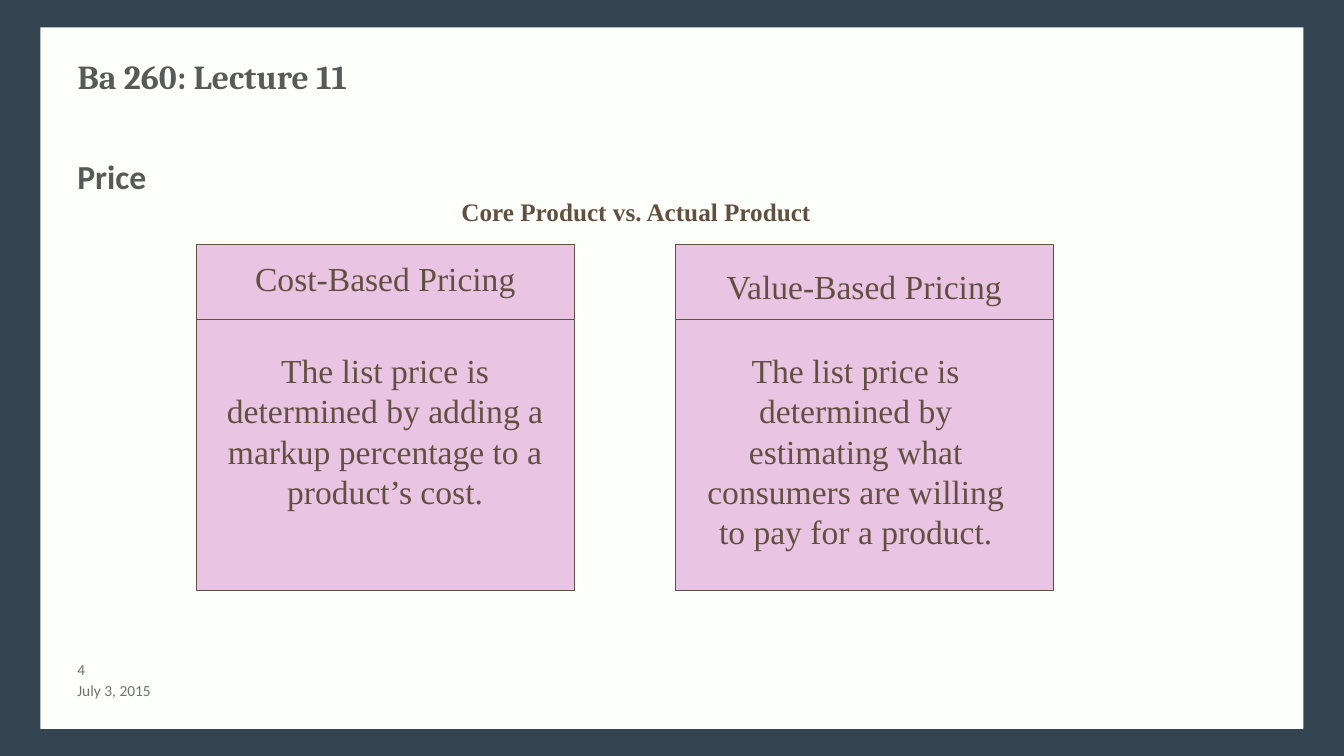
from lxml.etree import SubElement
from pptx import Presentation
from pptx.dml.color import RGBColor
from pptx.enum.shapes import MSO_CONNECTOR, MSO_SHAPE
from pptx.enum.text import MSO_ANCHOR, PP_ALIGN
from pptx.oxml.ns import qn
from pptx.util import Cm, Pt

COLORS = {"frame": "344350", "paper": "FDFFFB", "heading": "595959",
          "footer": "717171", "brown": "615042", "pink": "EAC5E3"}
SERIF = "Times New Roman"
CARD_TOP, CARD_WIDTH, CARD_HEIGHT, HEADER_HEIGHT = 6.15, 9.53, 8.74, 1.9


def rgb(name):
    """Return the named colour."""
    return RGBColor.from_string(COLORS[name])


def write(tf, text, size, font, color, bold=False, align=PP_ALIGN.LEFT):
    """Write one formatted run into the first paragraph."""
    p = tf.paragraphs[0]
    p.alignment = align
    r = p.add_run()
    r.text = text
    r.font.size = Pt(size)
    r.font.name = font
    r.font.bold = bold
    r.font.color.rgb = rgb(color)


def add_title(s, text):
    """Place and format the title placeholder."""
    sp = s.shapes.title
    sp.left, sp.top, sp.width, sp.height = Cm(1.7), Cm(1.27), Cm(30.48), Cm(1.9)
    sp.text_frame.vertical_anchor = MSO_ANCHOR.TOP
    write(sp.text_frame, text, 24, "Cambria", "heading", True)


def add_text(s, box, text, size, font, color, bold=False,
             align=PP_ALIGN.LEFT, wrap=True):
    """Add a text box and return its text frame."""
    tf = s.shapes.add_textbox(*map(Cm, box)).text_frame
    tf.word_wrap = wrap
    write(tf, text, size, font, color, bold, align)
    return tf


def add_footer(s, box, text):
    """Add a small footer line without vertical insets."""
    tf = add_text(s, box, text, 11, "Calibri", "footer")
    tf.margin_top = tf.margin_bottom = 0
    return tf


def add_rect(s, box, fill, line=None):
    """Add a flat rectangle with an optional thin outline and return it."""
    sp = s.shapes.add_shape(MSO_SHAPE.RECTANGLE, *map(Cm, box))
    sp.shadow.inherit = False
    sp.fill.solid()
    sp.fill.fore_color.rgb = rgb(fill)
    if line:
        sp.line.color.rgb = rgb(line)
        sp.line.width = Pt(0.75)
    else:
        sp.line.fill.background()
    return sp


def add_paper(s):
    """Add the paper panel behind everything else on the slide."""
    paper = add_rect(s, (1.02, 0.69, 31.83, 17.68), "paper")
    s.shapes.title._element.addprevious(paper._element)


def add_rule(s, left, top, width):
    """Add a thin horizontal line."""
    line = s.shapes.add_connector(MSO_CONNECTOR.STRAIGHT, Cm(left), Cm(top),
                                  Cm(left + width), Cm(top))
    line.line.color.rgb = rgb("brown")
    line.line.width = Pt(0.75)
    SubElement(line._element.spPr, qn("a:effectLst"))


def add_card(s, left, heading, heading_top, body, body_left, body_height):
    """Add a pricing card with a ruled heading and a definition."""
    add_rect(s, (left, CARD_TOP, CARD_WIDTH, CARD_HEIGHT), "pink", "brown")
    add_rule(s, left, CARD_TOP + HEADER_HEIGHT, CARD_WIDTH)
    add_text(s, (left + 0.21, heading_top, 9.1, 1.3), heading, 24, SERIF,
             "brown", align=PP_ALIGN.CENTER)
    add_text(s, (body_left, 8.69, 8.69, body_height), body, 24, SERIF,
             "brown", align=PP_ALIGN.CENTER)


def main():
    """Build the pricing slide and save it."""
    prs = Presentation()
    prs.slide_width, prs.slide_height = Cm(33.87), Cm(19.05)
    s = prs.slides.add_slide(prs.slide_layouts[5])
    s.background.fill.solid()
    s.background.fill.fore_color.rgb = rgb("frame")
    add_paper(s)
    add_title(s, "Ba 260: Lecture 11")
    add_text(s, (1.7, 3.81, 14.83, 1.3), "Price", 24, "Calibri", "heading", True)
    add_text(s, (11.38, 4.83, 9.4, 1.02), "Core Product vs. Actual Product",
             18, SERIF, "brown", True, wrap=False)
    add_card(s, 4.95, "Cost-Based Pricing", 6.38,
             "The list price is determined by adding a markup percentage "
             "to a product’s cost.", 5.36, 4.37)
    add_card(s, 17.02, "Value-Based Pricing", 6.58,
             "The list price is determined by estimating what consumers "
             "are willing to pay for a product.", 17.22, 5.38)
    add_footer(s, (1.7, 16.64, 1.35, 0.51), "4").margin_right = 0
    tf = add_footer(s, (1.7, 17.15, 6.78, 0.51), "July 3, 2015")
    tf.vertical_anchor = MSO_ANCHOR.MIDDLE
    prs.save("out.pptx")


if __name__ == "__main__":
    main()
